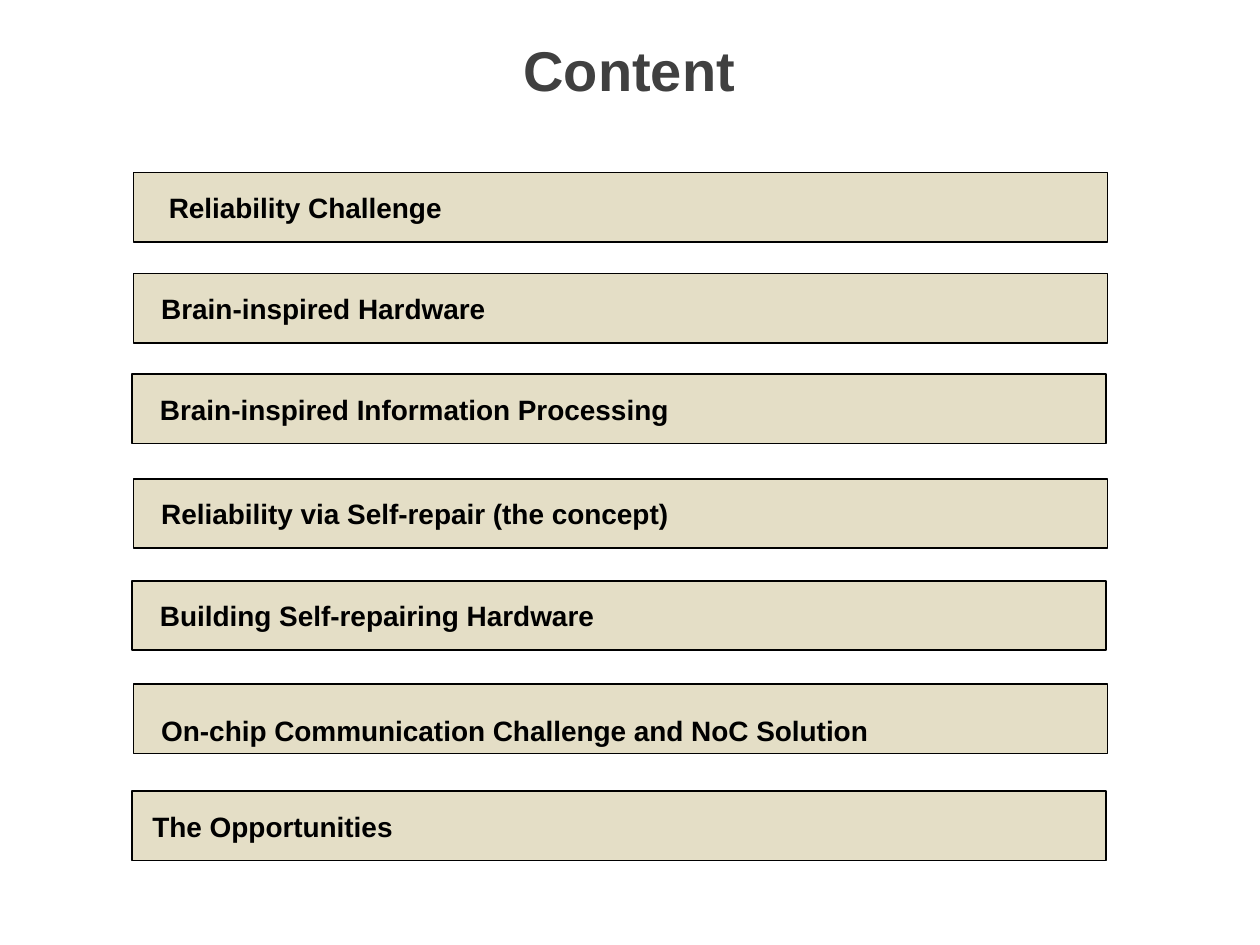
from dataclasses import dataclass

import pptx
import pptx.dml.color
import pptx.enum.shapes
import pptx.enum.text
import pptx.util
from pptx.util import Inches


@dataclass(frozen=True)
class Theme:
    font: str = "Arial"
    heading: str = "404040"
    ink: str = "000000"
    bar: str = "E4DEC6"
    heading_size: int = 32
    topic_size: int = 16
    outline: int = 1


THEME = Theme()
BAR_WIDTH, BAR_HEIGHT = 7.73, 0.55
INSET_X, INSET_Y = 0.1, 0.05

# topic, left, top, extra indent, drop of the text below the bar's middle
TOPICS = [
    ("Reliability Challenge", 1.06, 1.37, 0.18, 0),
    ("Brain-inspired Hardware", 1.06, 2.17, 0.12, 0),
    ("Brain-inspired Information Processing", 1.05, 2.97, 0.12, 0),
    ("Reliability via Self-repair (the concept)", 1.06, 3.8, 0.12, 0),
    ("Building Self-repairing Hardware", 1.05, 4.61, 0.12, 0),
    ("On-chip Communication Challenge and NoC Solution", 1.06, 5.43, 0.12, 0.09),
    ("The Opportunities", 1.05, 6.28, 0.06, 0),
]


def rgb(code):
    return pptx.dml.color.RGBColor.from_string(code)


def write_line(frame, wording, size, color, align):
    """Put one bold line, centred vertically, into a text frame."""
    frame.word_wrap = True
    frame.vertical_anchor = pptx.enum.text.MSO_ANCHOR.MIDDLE
    frame.text = wording
    line = frame.paragraphs[0]
    line.alignment = align
    font = line.runs[0].font
    font.name, font.size, font.bold = THEME.font, pptx.util.Pt(size), True
    font.color.rgb = rgb(color)


def add_heading(slide, left, top, width, height):
    heading = slide.shapes.add_textbox(
        Inches(left), Inches(top), Inches(width), Inches(height))
    write_line(heading.text_frame, "Content", THEME.heading_size,
               THEME.heading, pptx.enum.text.PP_ALIGN.CENTER)


def add_topic_bar(slide, topic, left, top, indent, drop):
    bar = slide.shapes.add_shape(
        pptx.enum.shapes.MSO_SHAPE.RECTANGLE,
        Inches(left), Inches(top), Inches(BAR_WIDTH), Inches(BAR_HEIGHT))
    bar.shadow.inherit = False
    bar.fill.solid()
    bar.fill.fore_color.rgb = rgb(THEME.bar)
    bar.line.color.rgb = rgb(THEME.ink)
    bar.line.width = pptx.util.Pt(THEME.outline)
    frame = bar.text_frame
    frame.margin_left = Inches(INSET_X + indent)
    frame.margin_right = Inches(INSET_X)
    frame.margin_top = Inches(INSET_Y + 2 * drop)
    frame.margin_bottom = Inches(INSET_Y)
    write_line(frame, topic, THEME.topic_size, THEME.ink,
               pptx.enum.text.PP_ALIGN.LEFT)


def main():
    deck = pptx.Presentation()
    deck.slide_width, deck.slide_height = Inches(10), Inches(7.5)
    slide = deck.slides.add_slide(deck.slide_layouts[6])
    add_heading(slide, 0.06, 0.18, 9.87, 0.73)
    for topic in TOPICS:
        add_topic_bar(slide, *topic)
    deck.save("out.pptx")


if __name__ == "__main__":
    main()
